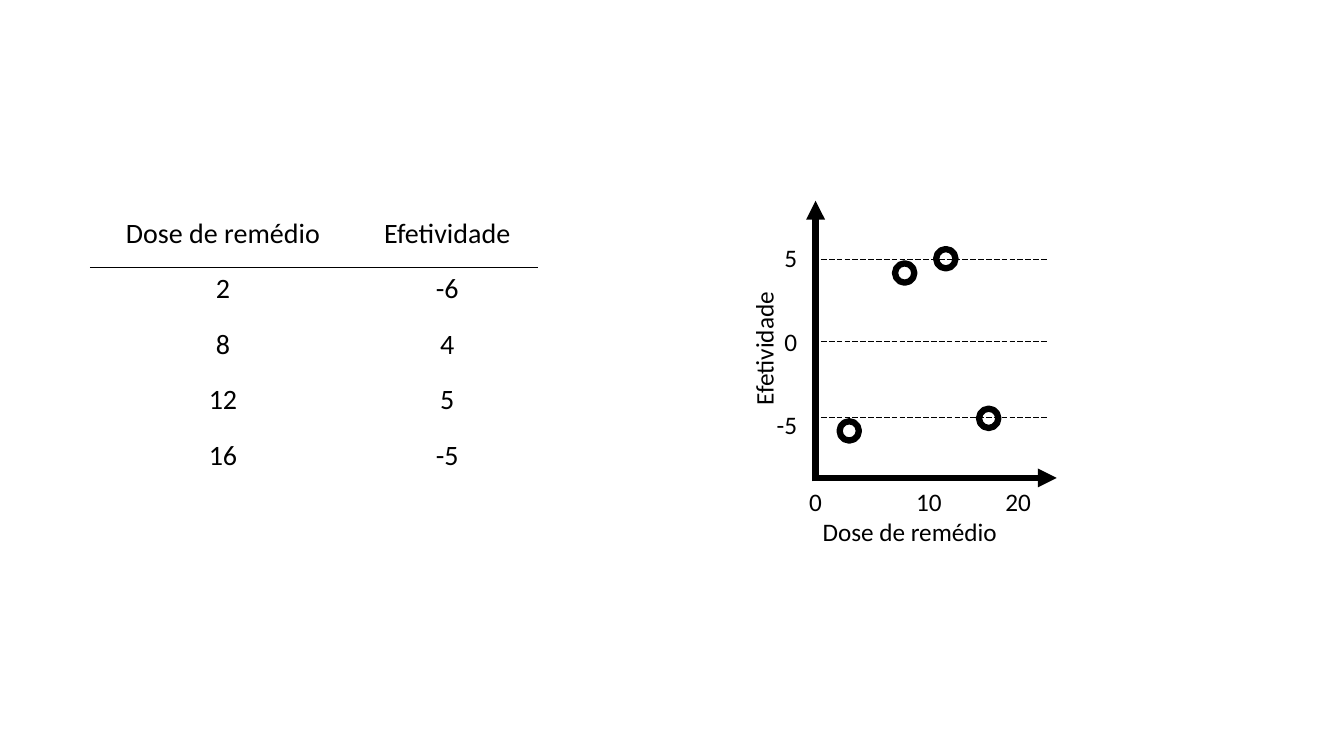
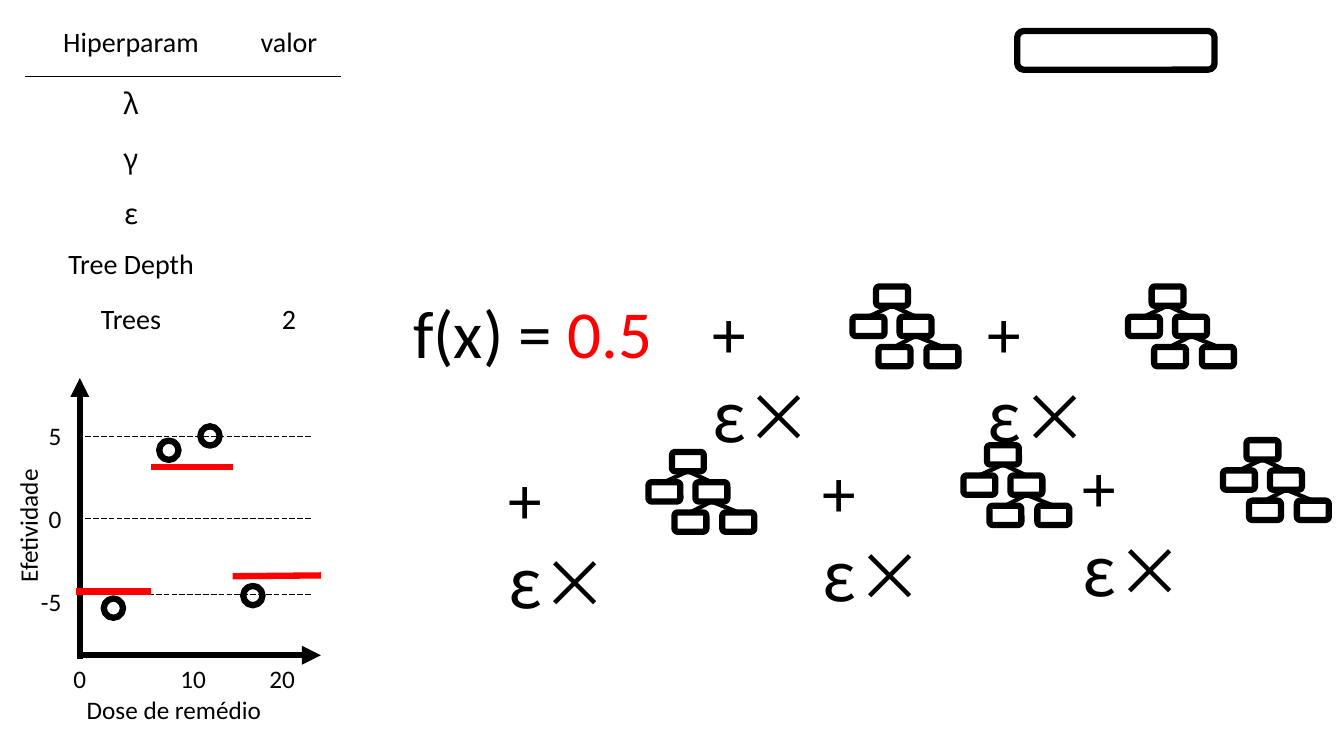
from lxml.etree import SubElement
from pptx import Presentation
from pptx.dml.color import RGBColor
from pptx.enum.dml import MSO_LINE_DASH_STYLE as Dash
from pptx.enum.shapes import MSO_CONNECTOR as Connector, MSO_SHAPE as Preset
from pptx.enum.text import MSO_ANCHOR as Anchor, PP_ALIGN as Align
from pptx.oxml import parse_xml
from pptx.oxml.ns import nsdecls, qn
from pptx.util import Inches, Pt

COLORS = {"ink": "000000", "fit": "FF0000", "paper": "FFFFFF"}
LATIN, GREEK = "Calibri", "Noto Sans CJK SC"
NO_TABLE_STYLE = "{2D5ABB26-0587-4C30-8999-92F81FD0307C}"
THICK = 4.5

# The slide is a grid of 160 columns by 90 rows; every length is in cells.
COLUMNS, ROWS = 160, 90
CELL = Inches(1) / 12


def add_line(shapes, start, end, color="ink", width=THICK, dash=None, arrow=False):
    ends = [round(value * CELL) for value in (*start, *end)]
    line = shapes.add_connector(Connector.STRAIGHT, *ends)
    line.line.color.rgb = RGBColor.from_string(COLORS[color])
    line.line.width = Pt(width)
    if dash:
        line.line.dash_style = dash
    if arrow:
        SubElement(line.line._get_or_add_ln(), qn("a:tailEnd"), type="triangle")
    SubElement(line._element.spPr, qn("a:effectLst"))


def add_outline(shapes, preset, left, top, width, height, fill=None):
    box = [round(value * CELL) for value in (left, top, width, height)]
    shape = shapes.add_shape(preset, *box)
    shape.shadow.inherit = False
    shape.line.color.rgb = RGBColor.from_string(COLORS["ink"])
    shape.line.width = Pt(THICK)
    if fill:
        shape.fill.solid()
        shape.fill.fore_color.rgb = RGBColor.from_string(COLORS[fill])
    else:
        shape.fill.background()


presentation = Presentation()
presentation.slide_width = round(COLUMNS * CELL)
presentation.slide_height = round(ROWS * CELL)
blank_layout = presentation.slide_layouts[6]
data_slide, model_slide = [presentation.slides.add_slide(blank_layout) for _ in range(2)]

# Tables: a ruled header above plain rows
ROW_HEIGHT = 6.6
dose_rows = [("Dose de remédio", "Efetividade"),
             ("2", "-6"), ("8", "4"), ("12", "5"), ("16", "-5")]
parameter_rows = [("Hiperparam", "valor"), ("λ", ""), ("γ", ""), ("ε", ""),
                  ("Tree Depth", ""), ("Trees", "2")]
tables = [
    (data_slide, 10.7, 25.2, (31.7, 21.7), dose_rows),
    (model_slide, 3, 2.5, (25.2, 12.4), parameter_rows),
]
for slide, left, top, widths, rows in tables:
    box = [round(value * CELL)
           for value in (left, top, sum(widths), ROW_HEIGHT * len(rows))]
    table = slide.shapes.add_table(len(rows), len(widths), *box).table
    table.first_row = table.horz_banding = False
    table._tbl.tblPr.find(qn("a:tableStyleId")).text = NO_TABLE_STYLE
    for column, width in zip(table.columns, widths):
        column.width = round(width * CELL)
    for row_index, texts in enumerate(rows):
        for column_index, text in enumerate(texts):
            cell = table.cell(row_index, column_index)
            cell.fill.background()
            cell.text = text
            paragraph = cell.text_frame.paragraphs[0]
            paragraph.alignment = Align.CENTER
            paragraph.font.size = Pt(20)
            paragraph.font.name = GREEK if text in ("λ", "γ", "ε") else LATIN
            paragraph.font.color.rgb = RGBColor.from_string(COLORS["ink"])
            if row_index == 0:
                rule = parse_xml(
                    f'<a:lnB {nsdecls("a")} w="12700"><a:solidFill>'
                    f'<a:srgbClr val="{COLORS["ink"]}"/></a:solidFill></a:lnB>')
                cell._tc.get_or_add_tcPr().insert(0, rule)

# Dose plots: places are measured from the origin of the axes
DIAMETER = 2.3
LABEL_WIDTH, LABEL_HEIGHT = 24, 4.8
points = [(4, -5.6), (10.6, -24.4), (15.5, -26.1), (20.6, -7.1)]
gridlines = [-26, -16.3, -7.2]
# text, anchor x, centre y, alignment, rotation
labels = [
    ("5", -2.2, -26.2, Align.RIGHT, 0),
    ("0", -2.2, -16.3, Align.RIGHT, 0),
    ("-5", -2.2, -6.4, Align.RIGHT, 0),
    ("0", 0, 2.8, Align.CENTER, 0),
    ("10", 13.5, 2.8, Align.CENTER, 0),
    ("20", 24.1, 2.8, Align.CENTER, 0),
    ("Dose de remédio", 11.2, 6.4, Align.CENTER, 0),
    ("Efetividade", -6.2, -15.4, Align.CENTER, 270),
]
model_origin = (9.5, 78)
for slide, (x, y) in [(data_slide, (97.1, 56.9)), (model_slide, model_origin)]:
    shapes = slide.shapes
    add_line(shapes, (x, y + 0.4), (x, y - 33), arrow=True)
    add_line(shapes, (x, y), (x + 28.7, y), arrow=True)
    for dx, dy in points:
        add_outline(shapes, Preset.OVAL, x + dx - DIAMETER / 2,
                    y + dy - DIAMETER / 2, DIAMETER, DIAMETER)
    for dy in gridlines:
        add_line(shapes, (x - 0.3, y + dy), (x + 27.7, y + dy),
                 width=0.5, dash=Dash.LONG_DASH)
    for text, dx, dy, alignment, rotation in labels:
        share = 1 if alignment == Align.RIGHT else 0.5
        box = (x + dx - share * LABEL_WIDTH, y + dy - LABEL_HEIGHT / 2,
               LABEL_WIDTH, LABEL_HEIGHT)
        label = shapes.add_textbox(*[round(value * CELL) for value in box])
        label.rotation = rotation
        frame = label.text_frame
        frame.word_wrap = True
        frame.vertical_anchor = Anchor.MIDDLE
        frame.margin_left = frame.margin_right = 0
        frame.text = text
        paragraph = frame.paragraphs[0]
        paragraph.alignment = alignment
        paragraph.font.size = Pt(18)
        paragraph.font.name = LATIN
        paragraph.font.color.rgb = RGBColor.from_string(COLORS["ink"])

# Fitted steps of the model
steps = [((-0.4, -7.6), (8.5, -7.6)),
         ((8.5, -22.4), (18.2, -22.4)),
         ((18.2, -9.4), (28.7, -9.5))]
x, y = model_origin
for (x1, y1), (x2, y2) in steps:
    add_line(model_slide.shapes, (x + x1, y + y1), (x + x2, y + y2), color="fit")

add_outline(model_slide.shapes, Preset.ROUNDED_RECTANGLE, 121.1, 3.7, 23.5, 4.6)

# Formula: a start value plus scaled trees
term_places = [(83.6, 34.1), (116.4, 34.1), (59.3, 53.8), (96.8, 53), (127.7, 52.4)]
start_value = [(LATIN, [("f(x) = ", "ink"), ("0.5", "fit")])]
scaled_tree = [(LATIN, [("+", "ink")]), (GREEK, [("ε×", "ink")])]
formula_parts = [(48, 34.1, 34, start_value)]
formula_parts += [(left, top, 19.2, scaled_tree) for left, top in term_places]
for left, top, width, lines in formula_parts:
    box = [round(value * CELL) for value in (left, top, width, 10.9 * len(lines))]
    frame = model_slide.shapes.add_textbox(*box).text_frame
    frame.word_wrap = True
    for index, (font_name, runs) in enumerate(lines):
        paragraph = frame.add_paragraph() if index else frame.paragraphs[0]
        paragraph.font.size = Pt(48)
        paragraph.font.name = font_name
        if font_name == GREEK:
            paragraph.line_spacing = Pt(60)
        for text, color in runs:
            run = paragraph.add_run()
            run.text = text
            run.font.color.rgb = RGBColor.from_string(COLORS[color])

# Trees: each stands beside its term
TREE_OFFSET = 17.9
NODE_WIDTH, NODE_HEIGHT, LEVEL = 3.8, 2.3, 3.6
nodes = [(2.8, 0), (0, LEVEL), (5.6, LEVEL), (3.1, 2 * LEVEL), (8.8, 2 * LEVEL)]
branches = [(0, 1), (0, 2), (2, 3), (2, 4)]
for left, top in term_places:
    tree = model_slide.shapes.add_group_shape().shapes
    corners = [(left + TREE_OFFSET + dx, top + dy) for dx, dy in nodes]
    for corner in corners:
        add_outline(tree, Preset.ROUNDED_RECTANGLE, *corner,
                    NODE_WIDTH, NODE_HEIGHT, fill="paper")
    for parent, child in branches:
        parent_x, parent_y = corners[parent]
        child_x, child_y = corners[child]
        add_line(tree, (parent_x + NODE_WIDTH / 2, parent_y + NODE_HEIGHT),
                 (child_x + NODE_WIDTH / 2, child_y), width=3)

presentation.save("out.pptx")
